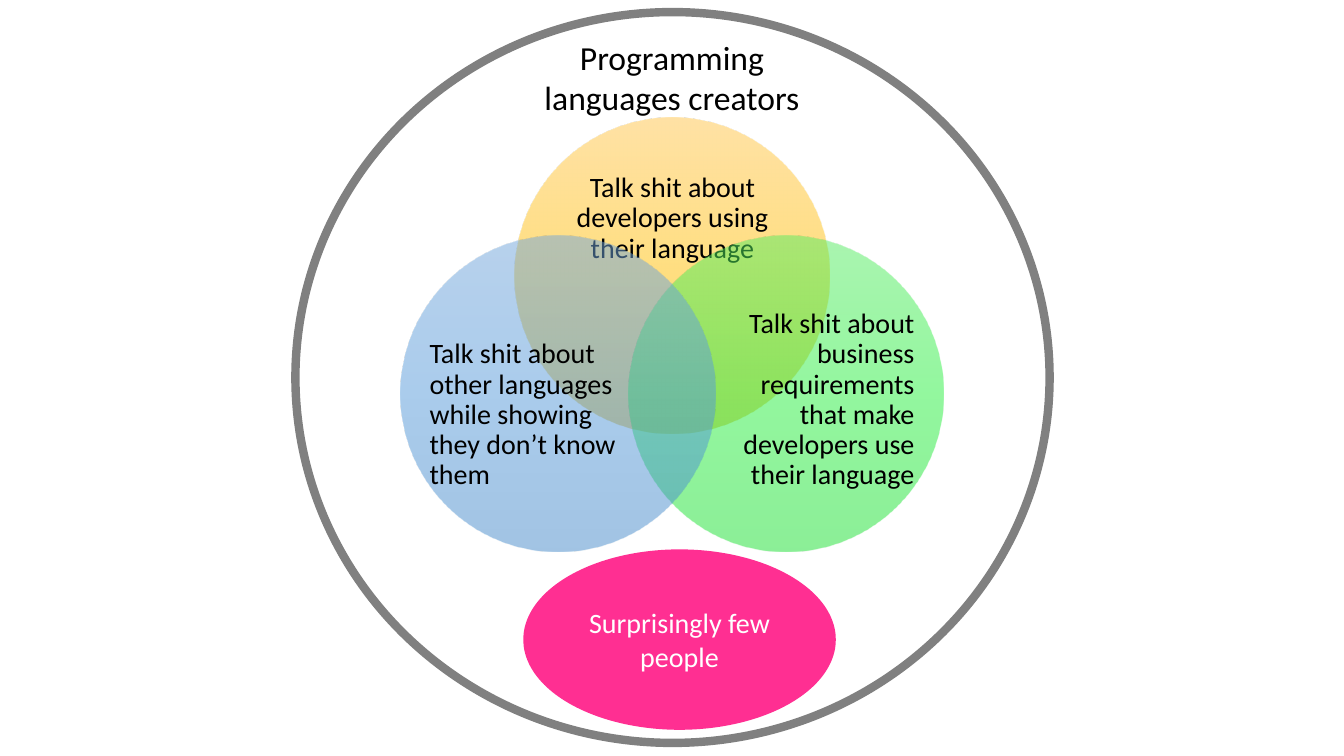
from copy import deepcopy

from lxml import etree
from pptx import Presentation
from pptx.dml.color import RGBColor
from pptx.enum.shapes import MSO_SHAPE
from pptx.enum.text import MSO_ANCHOR, MSO_AUTO_SIZE, PP_ALIGN
from pptx.oxml.ns import qn
from pptx.util import Pt

OVAL = MSO_SHAPE.OVAL
TOP, MIDDLE, BOTTOM = MSO_ANCHOR.TOP, MSO_ANCHOR.MIDDLE, MSO_ANCHOR.BOTTOM
LEFT, CENTER, RIGHT = PP_ALIGN.LEFT, PP_ALIGN.CENTER, PP_ALIGN.RIGHT
FIT, FIXED = MSO_AUTO_SIZE.SHAPE_TO_FIT_TEXT, MSO_AUTO_SIZE.NONE
PX = 9144


def color(code):
    return RGBColor.from_string(code)


def write(shape, text, size, ink, align, frame, space=1.0):
    body = shape.text_frame
    body.text = text
    for name, value in frame.items():
        setattr(body, name, value)
    para = body.paragraphs[0]
    para.alignment = align
    para.line_spacing = space
    for run in para.runs:
        run.font.name = "Calibri"
        run.font.size = Pt(size)
        run.font.color.rgb = color(ink)


deck = Presentation()
deck.slide_width, deck.slide_height = 1333 * PX, 750 * PX
slide = deck.slides.add_slide(deck.slide_layouts[5])
shapes = slide.shapes

ring = shapes.add_shape(OVAL, 293 * PX, 12 * PX, 748 * PX, 725 * PX)
ring.shadow.inherit = False
ring.fill.solid()
ring.fill.fore_color.rgb = color("FFFFFF")
ring.line.color.rgb = color("808080")
ring.line.width = Pt(6)

SIDE = 313
circles = [
    (510, 117, ("FFC64B", "FFC000", "E3AB00"), (552, 172, 230, 141), TOP, CENTER,
     "Talk shit about developers using their language"),
    (623, 234, ("56EC62", "27F13E", "18E02F"), (719, 315, 188, 172), BOTTOM, RIGHT,
     "Talk shit about business requirements that make developers use their language"),
    (397, 234, ("71A6DB", "559BDB", "448ACA"), (426, 315, 188, 172), BOTTOM, LEFT,
     "Talk shit about other languages while showing they don’t know them"),
]
for left, top, tints, box, anchor, align, text in circles:
    disc = shapes.add_shape(OVAL, left * PX, top * PX, SIDE * PX, SIDE * PX)
    disc.shadow.inherit = False
    disc.line.fill.background()
    disc.fill.gradient()
    disc.fill.gradient_angle = 270
    stops = disc._element.spPr.find(qn("a:gradFill")).find(qn("a:gsLst"))
    stops.append(deepcopy(stops[0]))
    for stop, tint, place in zip(disc.fill.gradient_stops, tints, (0, 0.5, 1)):
        stop.color.rgb = color(tint)
        stop.position = place
    for tone in stops.iter(qn("a:srgbClr")):
        etree.SubElement(tone, qn("a:alpha"), val="50000")

    label = shapes.add_textbox(*(n * PX for n in box))
    frame = {"word_wrap": True, "vertical_anchor": anchor, "margin_left": 0,
             "margin_top": 0, "margin_right": 0, "margin_bottom": 0}
    write(label, text, 20, "000000", align, frame, 0.9)

title = shapes.title
title.left, title.top, title.width, title.height = (n * PX for n in (529, 31, 275, 91))
shapes._spTree.append(title._element)
write(title, "Programming\vlanguages creators", 24, "000000", CENTER,
      {"word_wrap": False, "auto_size": FIT, "vertical_anchor": MIDDLE})

few = shapes.add_shape(OVAL, 519 * PX, 545 * PX, 310 * PX, 179 * PX)
few.shadow.inherit = False
few.fill.solid()
few.fill.fore_color.rgb = color("FF2F92")
few.line.fill.background()
write(few, "Surprisingly few people", 20, "FFFFFF", CENTER,
      {"word_wrap": True, "auto_size": FIXED, "vertical_anchor": MIDDLE})

deck.save("out.pptx")
